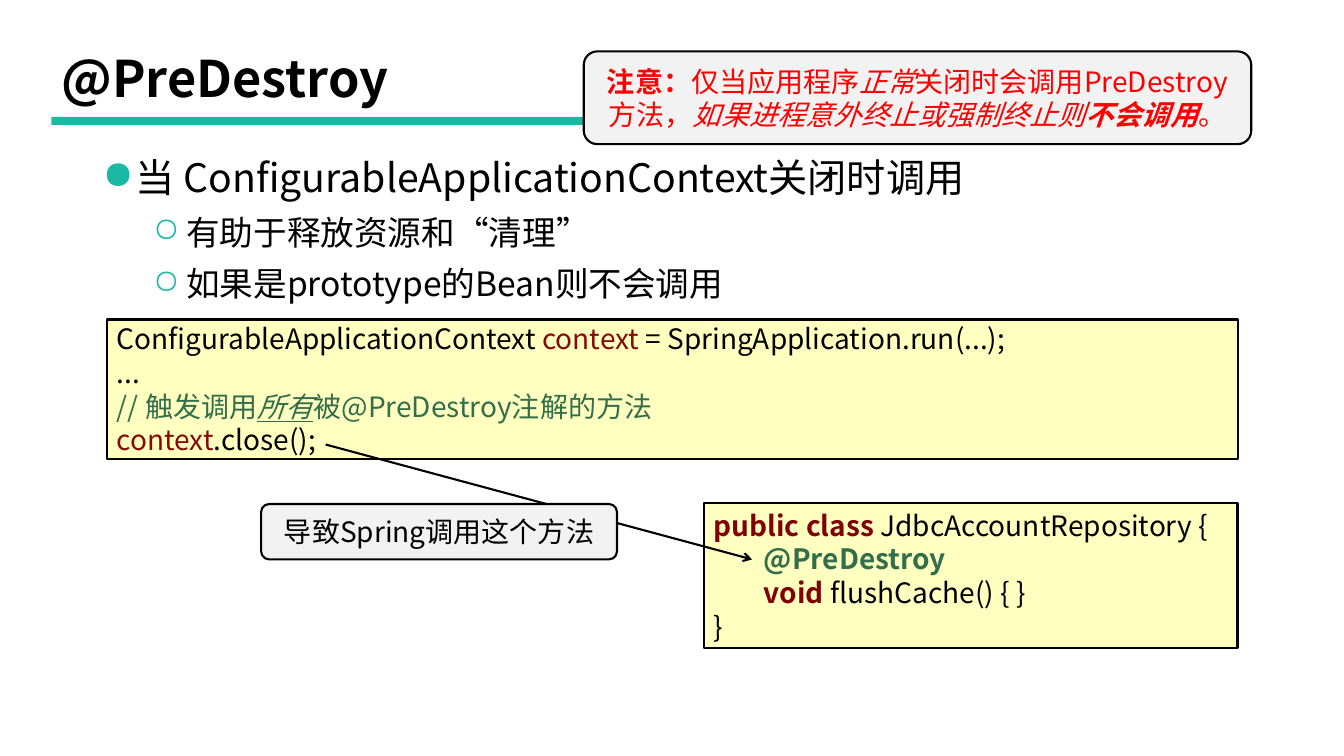
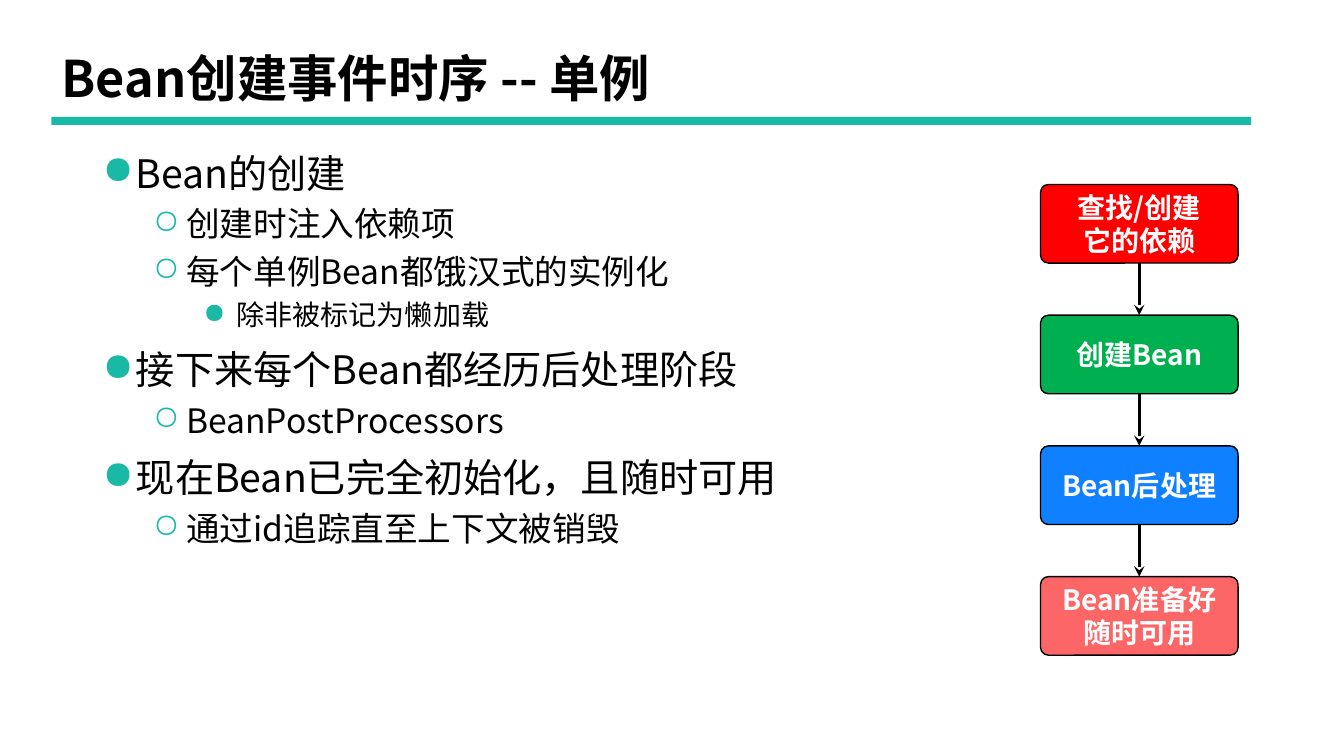
"""Build two slides about the Spring bean lifecycle."""
from dataclasses import dataclass
from typing import NamedTuple, Optional, Sequence

from lxml import etree
from pptx import Presentation
from pptx import util as u
from pptx.dml.color import RGBColor
from pptx.enum import shapes, text
from pptx.oxml import ns

WIDTH, HEIGHT = u.Inches(13.33), u.Inches(7.5)


@dataclass(frozen=True)
class Theme:
    """Colours, font and type sizes of the deck."""
    font: str = "Noto Sans CJK SC"
    ink: str = "000000"
    paper: str = "FFFFFF"
    accent: str = "1AB9A5"
    code_fill: str = "FFFFC0"
    label_fill: str = "F2F2F2"
    variable: str = "850A09"
    keyword: str = "800002"
    comment: str = "326E4C"
    warning: str = "FF0000"
    title_size: int = 36
    small_size: int = 20


THEME = Theme()


class Box(NamedTuple):
    """A rectangle in percent of the slide's width and height."""
    left: float
    top: float
    width: float
    height: float


class Span(NamedTuple):
    """A piece of text; unset values follow the paragraph."""
    words: str
    color: Optional[str] = None
    bold: Optional[bool] = None
    italic: Optional[bool] = None
    underline: Optional[bool] = None


class Level(NamedTuple):
    """Look of one outline level."""
    size: int
    bullet: str
    indent: float
    space_before: int


class Bullet(NamedTuple):
    """One outline line."""
    level: int
    words: str


class Step(NamedTuple):
    """One stage of the flow."""
    lines: Sequence[str]
    fill: str


class Panel(NamedTuple):
    """Look of a framed text panel."""
    preset: shapes.MSO_SHAPE
    fill: str
    line_width: float
    color: str = THEME.ink
    bold: bool = False
    corner: Optional[float] = None
    align: text.PP_ALIGN = text.PP_ALIGN.CENTER


LEVELS = (Level(28, "●", 0.25, 10), Level(24, "○", 0.75, 5), Level(20, "●", 1.25, 5))
HANGING, BULLET_GAP = 0.25, 0.08
CODE = Panel(shapes.MSO_SHAPE.RECTANGLE, THEME.code_fill, 1.5, align=text.PP_ALIGN.LEFT)
LABEL = Panel(shapes.MSO_SHAPE.ROUNDED_RECTANGLE, THEME.label_fill, 1.5, corner=0.145)
WARNING = LABEL._replace(color=THEME.warning)

TITLE_BOX = Box(3.83, 5.2, 86.27, 11.2)
BAND_BOX = Box(3.83, 15.47, 89.27, 1.07)
BODY_BOX = Box(6.9, 19.07, 86.27, 68.8)
FIRST_STEP = Box(77.42, 24.4, 14.7, 10.4)
STEP_PITCH = 17.29

DESTROY_BULLETS = (
    Bullet(0, "当 ConfigurableApplicationContext关闭时调用"),
    Bullet(1, "有助于释放资源和“清理”"),
    Bullet(1, "如果是prototype的Bean则不会调用"),
)
CLOSE_CODE = (
    (Span("ConfigurableApplicationContext "), Span("context ", THEME.variable),
     Span("= SpringApplication.run(...);")),
    (Span("..."),),
    (Span("// 触发调用", THEME.comment),
     Span("所有", THEME.comment, italic=True, underline=True),
     Span("被@PreDestroy注解的方法", THEME.comment)),
    (Span("context", THEME.variable), Span(".close();")),
)
REPOSITORY_CODE = (
    (Span("public class ", THEME.keyword, True), Span("JdbcAccountRepository {")),
    (Span("        "), Span("@PreDestroy", THEME.comment, True)),
    (Span("        "), Span("void ", THEME.keyword, True), Span("flushCache() { }")),
    (Span("}"),),
)
NOTE = ((
    Span("注意：", bold=True), Span("仅当应用程序"), Span("正常", italic=True),
    Span("关闭时会调用PreDestroy方法，"),
    Span("如果进程意外终止或强制终止则", italic=True),
    Span("不会调用", bold=True, italic=True), Span("。"),
),)
CREATION_BULLETS = (
    Bullet(0, "Bean的创建"),
    Bullet(1, "创建时注入依赖项"),
    Bullet(1, "每个单例Bean都饿汉式的实例化"),
    Bullet(2, "除非被标记为懒加载"),
    Bullet(0, "接下来每个Bean都经历后处理阶段"),
    Bullet(1, "BeanPostProcessors"),
    Bullet(0, "现在Bean已完全初始化，且随时可用"),
    Bullet(1, "通过id追踪直至上下文被销毁"),
)
STEPS = (
    Step(("查找/创建", "它的依赖"), "FF0000"),
    Step(("创建Bean",), "00B050"),
    Step(("Bean后处理",), "0F80FF"),
    Step(("Bean准备好", "随时可用"), "FD6666"),
)


def across(share: float) -> int:
    """Turn a percentage of the width into a length."""
    return round(WIDTH * share / 100)


def down(share: float) -> int:
    """Turn a percentage of the height into a length."""
    return round(HEIGHT * share / 100)


def place(box: Box) -> tuple:
    """Return left, top, width and height as lengths."""
    return across(box.left), down(box.top), across(box.width), down(box.height)


def add_element(parent, tag: str, **attributes: str):
    """Append one drawing element."""
    return etree.SubElement(parent, ns.qn(tag), attributes)


def set_font(paragraph, size: int, color: str = THEME.ink, bold: bool = False) -> None:
    """Set the font shared by all runs of a paragraph."""
    font = paragraph.font
    font.size, font.bold, font.name = u.Pt(size), bold, THEME.font
    font.color.rgb = RGBColor.from_string(color)
    add_element(font._element, "a:ea", typeface=THEME.font)


def paragraphs_for(frame, count: int) -> list:
    """Return the frame's paragraphs after growing it to a count."""
    return [frame.paragraphs[0]] + [frame.add_paragraph() for _ in range(count - 1)]


def add_titled_slide(presentation, title: str):
    """Add a slide with its title and the band below it."""
    slide = presentation.slides.add_slide(presentation.slide_layouts[5])
    shape = slide.shapes.title
    shape.left, shape.top, shape.width, shape.height = place(TITLE_BOX)
    frame = shape.text_frame
    frame.text = title
    frame.auto_size = text.MSO_AUTO_SIZE.NONE
    frame.vertical_anchor = text.MSO_ANCHOR.MIDDLE
    paragraph = frame.paragraphs[0]
    paragraph.alignment, paragraph.line_spacing = text.PP_ALIGN.LEFT, 0.9
    set_font(paragraph, THEME.title_size, bold=True)
    band = slide.shapes.add_shape(shapes.MSO_SHAPE.RECTANGLE, *place(BAND_BOX))
    band.shadow.inherit = False
    band.fill.solid()
    band.fill.fore_color.rgb = RGBColor.from_string(THEME.accent)
    band.line.fill.background()
    return slide


def add_outline(slide, box: Box, bullets: Sequence[Bullet], line_spacing: float) -> None:
    """Add a bulleted outline."""
    frame = slide.shapes.add_textbox(*place(box)).text_frame
    frame.word_wrap = True
    for index, (paragraph, bullet) in enumerate(
            zip(paragraphs_for(frame, len(bullets)), bullets)):
        level = LEVELS[bullet.level]
        paragraph.text = bullet.words
        paragraph.level = bullet.level
        paragraph.line_spacing = line_spacing
        paragraph.space_before = u.Pt(level.space_before if index else 0)
        properties = paragraph._p.get_or_add_pPr()
        properties.set("marL", str(u.Inches(level.indent + BULLET_GAP)))
        properties.set("indent", str(-u.Inches(HANGING + BULLET_GAP)))
        color = add_element(properties, "a:buClr")
        add_element(color, "a:srgbClr", val=THEME.accent)
        add_element(properties, "a:buChar", char=level.bullet)
        set_font(paragraph, level.size)


def add_panel(slide, box: Box, panel: Panel, lines: Sequence[Sequence[Span]]) -> None:
    """Add a framed panel holding lines of styled text."""
    shape = slide.shapes.add_shape(panel.preset, *place(box))
    shape.shadow.inherit = False
    shape.fill.solid()
    shape.fill.fore_color.rgb = RGBColor.from_string(panel.fill)
    shape.line.color.rgb = RGBColor.from_string(THEME.ink)
    shape.line.width = u.Pt(panel.line_width)
    if panel.corner is not None:
        shape.adjustments[0] = panel.corner
    frame = shape.text_frame
    frame.word_wrap = True
    frame.vertical_anchor = text.MSO_ANCHOR.MIDDLE
    for paragraph, spans in zip(paragraphs_for(frame, len(lines)), lines):
        paragraph.alignment = panel.align
        set_font(paragraph, THEME.small_size, panel.color, panel.bold)
        for span in spans:
            run = paragraph.add_run()
            run.text = span.words
            run.font.bold, run.font.italic = span.bold, span.italic
            run.font.underline = span.underline
            if span.color:
                run.font.color.rgb = RGBColor.from_string(span.color)


def add_arrow(slide, start: tuple, end: tuple, width: float, head: str) -> None:
    """Add a straight arrow between two points."""
    arrow = slide.shapes.add_connector(
        shapes.MSO_CONNECTOR.STRAIGHT,
        across(start[0]), down(start[1]), across(end[0]), down(end[1]))
    arrow.line.color.rgb = RGBColor.from_string(THEME.ink)
    arrow.line.width = u.Pt(width)
    add_element(arrow.line._get_or_add_ln(), "a:tailEnd", type=head)
    add_element(arrow._element.spPr, "a:effectLst")


def build_destroy_slide(presentation) -> None:
    """Explain when the destroy callback runs."""
    slide = add_titled_slide(presentation, "@PreDestroy")
    add_outline(slide, BODY_BOX, DESTROY_BULLETS, 1.1)
    add_panel(slide, Box(7.95, 42.27, 84.17, 18.4), CODE, CLOSE_CODE)
    add_panel(slide, Box(52.36, 66.53, 39.72, 19.2), CODE, REPOSITORY_CODE)
    add_arrow(slide, (24.23, 58.8), (55.96, 74), 1.5, "arrow")
    add_panel(slide, Box(19.43, 66.67, 26.48, 7.33), LABEL, ((Span("导致Spring调用这个方法"),),))
    add_panel(slide, Box(43.44, 6.8, 49.66, 12.27), WARNING, NOTE)


def build_creation_slide(presentation) -> None:
    """Show the order of events when a bean is created."""
    slide = add_titled_slide(presentation, "Bean创建事件时序 -- 单例")
    add_outline(slide, BODY_BOX._replace(width=54.61), CREATION_BULLETS, 1.0)
    center = FIRST_STEP.left + FIRST_STEP.width / 2
    for index, step in enumerate(STEPS):
        box = FIRST_STEP._replace(top=FIRST_STEP.top + index * STEP_PITCH)
        panel = Panel(shapes.MSO_SHAPE.ROUNDED_RECTANGLE, step.fill, 1, THEME.paper, True, 0.1)
        add_panel(slide, box, panel, [(Span(line),) for line in step.lines])
        if index:
            previous_bottom = box.top - STEP_PITCH + box.height
            add_arrow(slide, (center, previous_bottom), (center, box.top), 2.5, "stealth")


def main() -> None:
    """Build and save the deck."""
    presentation = Presentation()
    presentation.slide_width, presentation.slide_height = WIDTH, HEIGHT
    build_destroy_slide(presentation)
    build_creation_slide(presentation)
    presentation.save("out.pptx")


if __name__ == "__main__":
    main()
